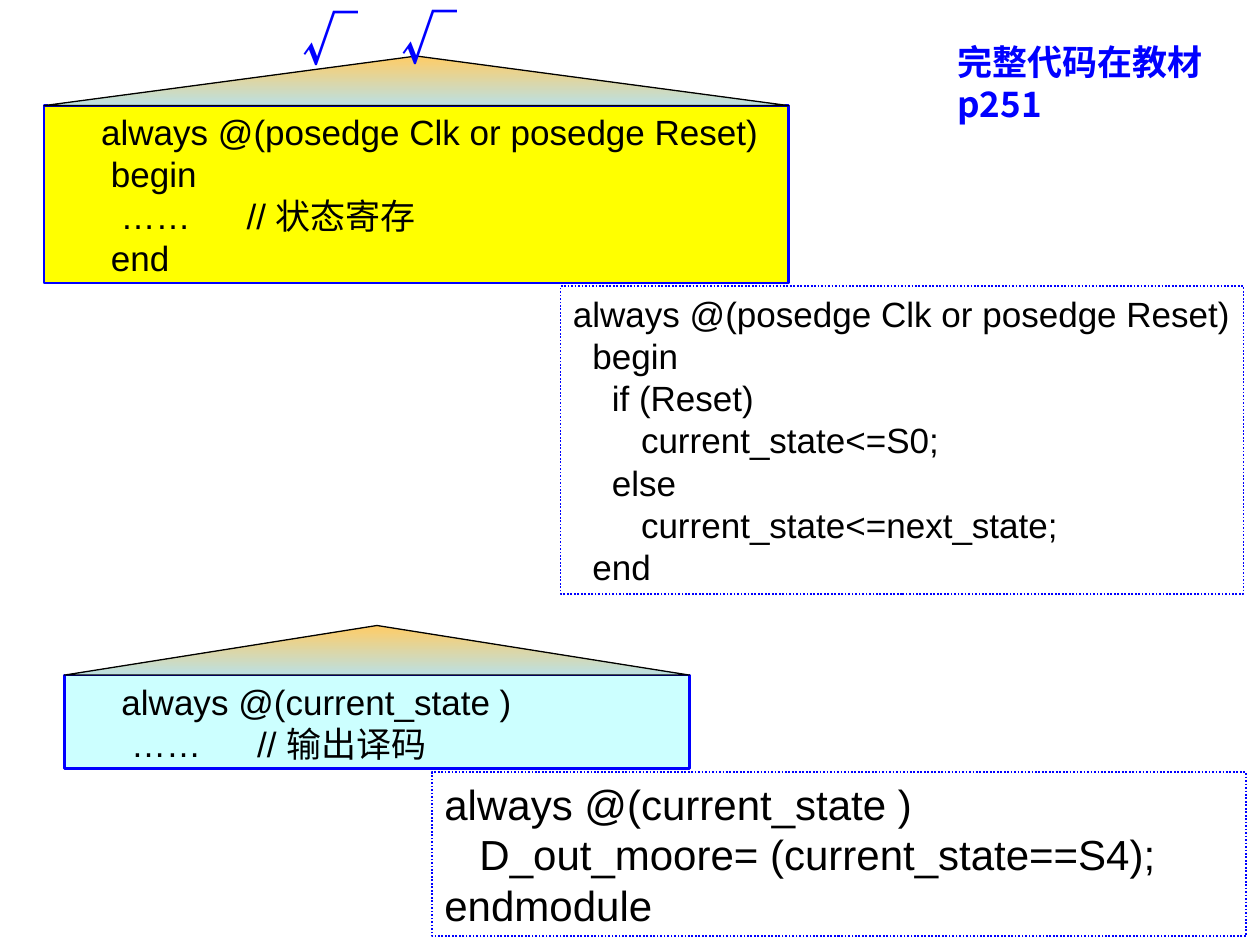
from lxml import etree
from pptx import Presentation
from pptx.dml.color import RGBColor
from pptx.enum.dml import MSO_LINE
from pptx.enum.shapes import MSO_SHAPE
from pptx.enum.text import MSO_ANCHOR, PP_ALIGN
from pptx.oxml.ns import qn
from pptx.util import Cm, Pt

RECTANGLE, TRIANGLE = MSO_SHAPE.RECTANGLE, MSO_SHAPE.ISOSCELES_TRIANGLE
TOP, MIDDLE = MSO_ANCHOR.TOP, MSO_ANCHOR.MIDDLE
LEFT, DOTTED = PP_ALIGN.LEFT, MSO_LINE.ROUND_DOT
CODE_FONT, CHINESE_FONT = "Arial", "Noto Sans CJK SC"
BLACK, BLUE, YELLOW, CYAN = "000000", "0000FF", "FFFF00", "CCFFFF"
GABLE_TOP, GABLE_BOTTOM = "FFCC66", "BBE0E3"
GABLE_HEIGHT = 1.0
SPACE_WIDTH = 0.278  # of the type size
COMMENT_GAP = 2.18  # from the dots to the comment, in cm

# Each line of code: (indent in spaces, text)
REGISTER_SUMMARY = [(0, "always @(posedge Clk or posedge Reset)"), (1, "begin"),
                    (2, "……\t// 状态寄存"), (1, "end")]
REGISTER_CODE = [(0, "always @(posedge Clk or posedge Reset)"), (2, "begin"),
                 (4, "if (Reset)"), (7, "current_state<=S0;"), (4, "else"),
                 (7, "current_state<=next_state;"), (2, "end")]
OUTPUT_SUMMARY = [(0, "always @(current_state )"), (1, "……\t// 输出译码")]
OUTPUT_CODE = [(0, "always @(current_state )"),
               (3, "D_out_moore= (current_state==S4);"), (0, "endmodule")]


def color(value):
    return RGBColor.from_string(value)


def set_values(target, values):
    for name, value in values.items():
        setattr(target, name, value)


def set_indent(paragraph, indent, tab_gap):
    """Indent the whole paragraph and put one tab stop after its start."""
    properties = paragraph._p.get_or_add_pPr()
    properties.set("marL", str(int(indent)))
    properties.set("indent", "0")
    tabs = etree.SubElement(properties, qn("a:tabLst"))
    etree.SubElement(tabs, qn("a:tab"), pos=str(int(indent + tab_gap)), algn="l")


def write_lines(shape, lines, size, inset, margin=0, anchor=TOP, wrap=True,
                font=CODE_FONT, font_color=BLACK, bold=False):
    frame = shape.text_frame
    set_values(frame, {
        "margin_left": Cm(inset), "margin_right": Cm(inset),
        "margin_top": Cm(inset / 2), "margin_bottom": Cm(inset / 2),
        "vertical_anchor": anchor, "word_wrap": wrap})
    for number, (spaces, text) in enumerate(lines):
        paragraph = frame.add_paragraph() if number else frame.paragraphs[0]
        set_values(paragraph, {"alignment": LEFT, "line_spacing": Pt(1.2 * size)})
        indent = Cm(margin) + spaces * Pt(SPACE_WIDTH * size)
        if "\t" in text:
            set_indent(paragraph, indent, Cm(COMMENT_GAP))
        elif indent:
            paragraph._p.get_or_add_pPr().set("marL", str(int(indent)))
            paragraph._p.get_or_add_pPr().set("indent", "0")
        run = paragraph.add_run()
        run.text = text
        set_values(run.font, {"name": font, "size": Pt(size), "bold": bold})
        run.font.color.rgb = color(font_color)
        etree.SubElement(run._r.get_or_add_rPr(), qn("a:ea"), typeface=CHINESE_FONT)


def add_outlined(slide, kind, box, line_color, line_width):
    shape = slide.shapes.add_shape(kind, *map(Cm, box))
    shape.shadow.inherit = False
    shape.line.color.rgb = color(line_color)
    shape.line.width = Pt(line_width)
    return shape


def add_summary(slide, box, fill, lines):
    """Filled code box with a gable on top of it."""
    left, top, width, _ = box
    body = add_outlined(slide, RECTANGLE, box, BLUE, 1.5)
    body.fill.solid()
    body.fill.fore_color.rgb = color(fill)
    write_lines(body, lines, 20, 0.2, margin=0.95)

    gable_box = (left, top - GABLE_HEIGHT, width, GABLE_HEIGHT)
    gable = add_outlined(slide, TRIANGLE, gable_box, BLACK, 0.75)
    gable.fill.gradient()
    gable.fill.gradient_angle = 270
    for stop, value in zip(gable.fill.gradient_stops, (GABLE_TOP, GABLE_BOTTOM)):
        stop.color.rgb = color(value)


def add_detail(slide, box, lines, size, wrap):
    """Dotted box with the full code."""
    shape = add_outlined(slide, RECTANGLE, box, BLUE, 1)
    shape.fill.background()
    shape.line.dash_style = DOTTED
    write_lines(shape, lines, size, 0.25, anchor=MIDDLE, wrap=wrap)


def add_note(slide, box, text, size):
    shape = slide.shapes.add_textbox(*map(Cm, box))
    write_lines(shape, [(0, text)], size, 0.2, font=CHINESE_FONT,
                font_color=BLUE, bold=True)


def main():
    presentation = Presentation()
    presentation.slide_width, presentation.slide_height = Cm(25.4), Cm(19.05)
    slide = presentation.slides.add_slide(presentation.slide_layouts[6])

    add_summary(slide, (0.89, 2.13, 15.01, 3.58), YELLOW, REGISTER_SUMMARY)
    add_detail(slide, (11.3, 5.77, 13.77, 6.2), REGISTER_CODE, 20, wrap=False)
    add_summary(slide, (1.3, 13.61, 12.6, 1.88), CYAN, OUTPUT_SUMMARY)
    add_detail(slide, (8.71, 15.57, 16.41, 3.3), OUTPUT_CODE, 24, wrap=True)
    add_note(slide, (19.1, 0.71, 5.38, 1.88), "完整代码在教材p251", 20)
    for left, top in ((5.89, 0), (7.9, -0.03)):
        add_note(slide, (left, top, 0.99, 1.55), "√", 32)

    presentation.save("out.pptx")


if __name__ == "__main__":
    main()
